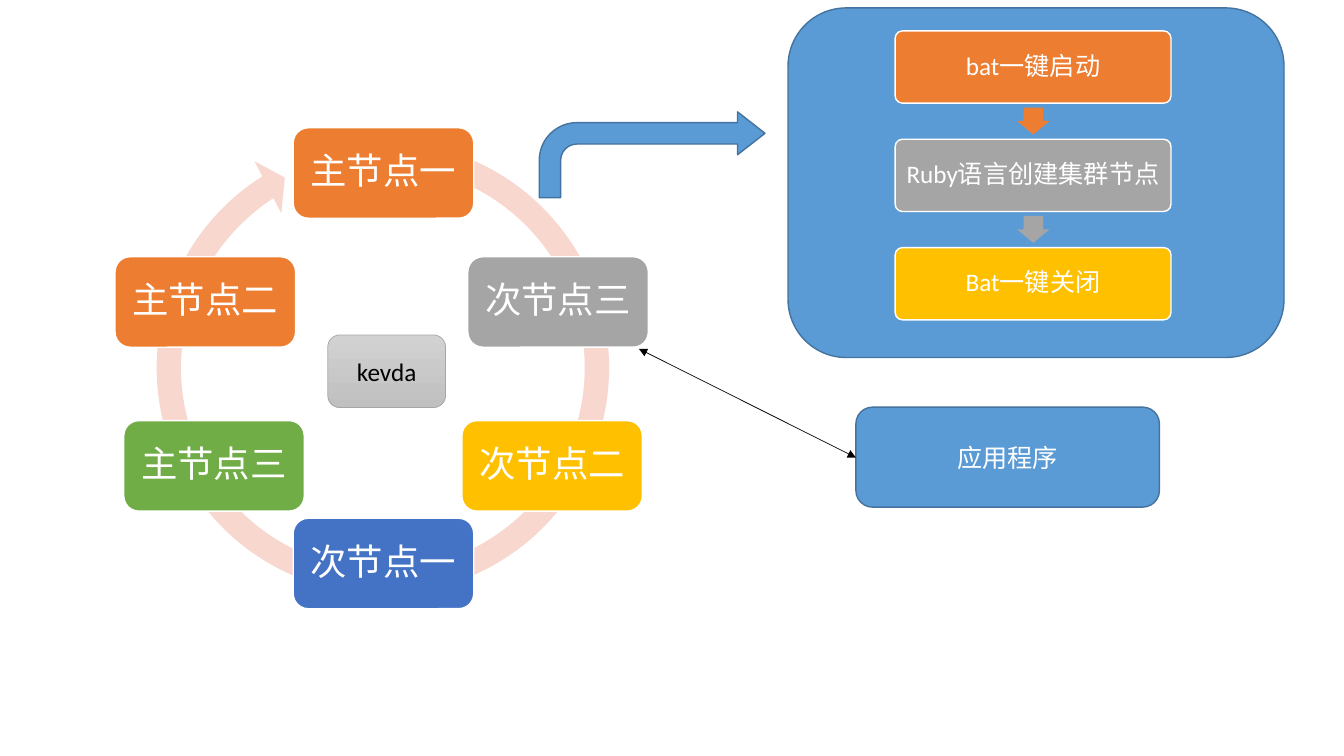
"""Build a slide of a cache node ring, its batch steps and the application."""
import pptx
import pptx.util
import pptx.dml.color
import pptx.enum.shapes
import pptx.enum.text
import pptx.oxml.ns
import lxml.etree

Cm, Pt = pptx.util.Cm, pptx.util.Pt
KIND = pptx.enum.shapes.MSO_SHAPE
WHITE, BLUE, EDGE, GREY = "FFFFFF", "5B9BD5", "43739E", "A5A5A5"
ORANGE, GOLD = "ED7D31", "FFC000"


def paint(item, shade):
    """Give a fill, line or font format a solid colour."""
    if hasattr(item, "solid"):
        item.solid()
        item.fore_color.rgb = pptx.dml.color.RGBColor.from_string(shade)
    else:
        item.color.rgb = pptx.dml.color.RGBColor.from_string(shade)


def draw(kind, box, fill, edge=None, text="", size=18, ink=WHITE, pad=0.25, space=1.0, adj=()):
    """Add one preset shape with optional outline and centred text."""
    shape = slide.shapes.add_shape(kind, *[Cm(n) for n in box])
    shape.shadow.inherit = False
    paint(shape.fill, fill)
    if edge:
        paint(shape.line, edge)
        shape.line.width = Pt(1)
    else:
        shape.line.fill.background()
    for i, value in enumerate(adj):
        shape.adjustments[i] = value
    if text:
        frame = shape.text_frame
        frame.word_wrap = True
        frame.vertical_anchor = pptx.enum.text.MSO_ANCHOR.MIDDLE
        frame.margin_left = frame.margin_right = Cm(pad)
        frame.margin_top = frame.margin_bottom = Cm(0.2)
        para = frame.paragraphs[0]
        para.alignment = pptx.enum.text.PP_ALIGN.CENTER
        para.line_spacing = space
        run = para.add_run()
        run.text = text
        run.font.name = "Calibri"
        run.font.size = Pt(size)
        paint(run.font, ink)
    return shape


deck = pptx.Presentation()
deck.slide_width, deck.slide_height = Cm(33.87), Cm(19.05)
slide = deck.slides.add_slide(deck.slide_layouts[6])

draw(KIND.ROUNDED_RECTANGLE, (19.86, 0.2, 12.5, 8.81), BLUE, EDGE)

draw(KIND.CIRCULAR_ARROW, (3.52, 3.14, 12.26, 12.26), "F8D7CE",
     adj=(0.05, 3.13, 142.51, 171.13, 0.06))
nodes = [
    ("主节点一", 7.39, 3.22, ORANGE),
    ("次节点三", 11.79, 6.47, GREY),
    ("次节点二", 11.64, 10.6, GOLD),
    ("次节点一", 7.39, 13.06, "4472C4"),
    ("主节点三", 3.12, 10.6, "70AD47"),
    ("主节点二", 2.9, 6.47, ORANGE),
]
for name, left, top, shade in nodes:
    draw(KIND.ROUNDED_RECTANGLE, (left, top, 4.55, 2.28), shade, WHITE, name, 26, space=0.9)

steps = [("bat一键启动", ORANGE), ("Ruby语言创建集群节点", GREY), ("Bat一键关闭", GOLD)]
for i, (name, shade) in enumerate(steps):
    top = 0.78 + 2.73 * i
    draw(KIND.ROUNDED_RECTANGLE, (22.56, top, 6.95, 1.82), shade, WHITE, name,
         pad=0.23, space=0.9, adj=(0.1,))
    if i < len(steps) - 1:
        arrow = draw(KIND.RIGHT_ARROW, (25.7, top + 1.86, 0.68, 0.82), shade, adj=(0.6, 0.5))
        arrow.rotation = 90

draw(KIND.ROUNDED_RECTANGLE, (21.57, 10.26, 7.65, 2.52), BLUE, EDGE, "应用程序")

hub = draw(KIND.ROUNDED_RECTANGLE, (8.26, 8.44, 2.97, 1.83), GREY, GREY, "kevda", ink="000000")
hub.line.width = Pt(0.5)
hub.fill.gradient()
hub.fill.gradient_angle = 270
for stop, shade in zip(hub.fill.gradient_stops, ("D2D2D2", "C0C0C0")):
    paint(stop, shade)

link = slide.shapes.add_connector(pptx.enum.shapes.MSO_CONNECTOR.STRAIGHT,
                                  Cm(21.57), Cm(11.53), Cm(16.1), Cm(8.79))
paint(link.line, "000000")
link.line.width = Pt(0.5)
qn = pptx.oxml.ns.qn
for end in ("a:headEnd", "a:tailEnd"):
    lxml.etree.SubElement(link.line._get_or_add_ln(), qn(end), type="triangle")
lxml.etree.SubElement(link._element.spPr, qn("a:effectLst"))

draw(KIND.BENT_ARROW, (13.59, 2.82, 5.69, 2.16), BLUE, EDGE, adj=(0.25, 0.25, 0.32, 0.44))

deck.save("out.pptx")
